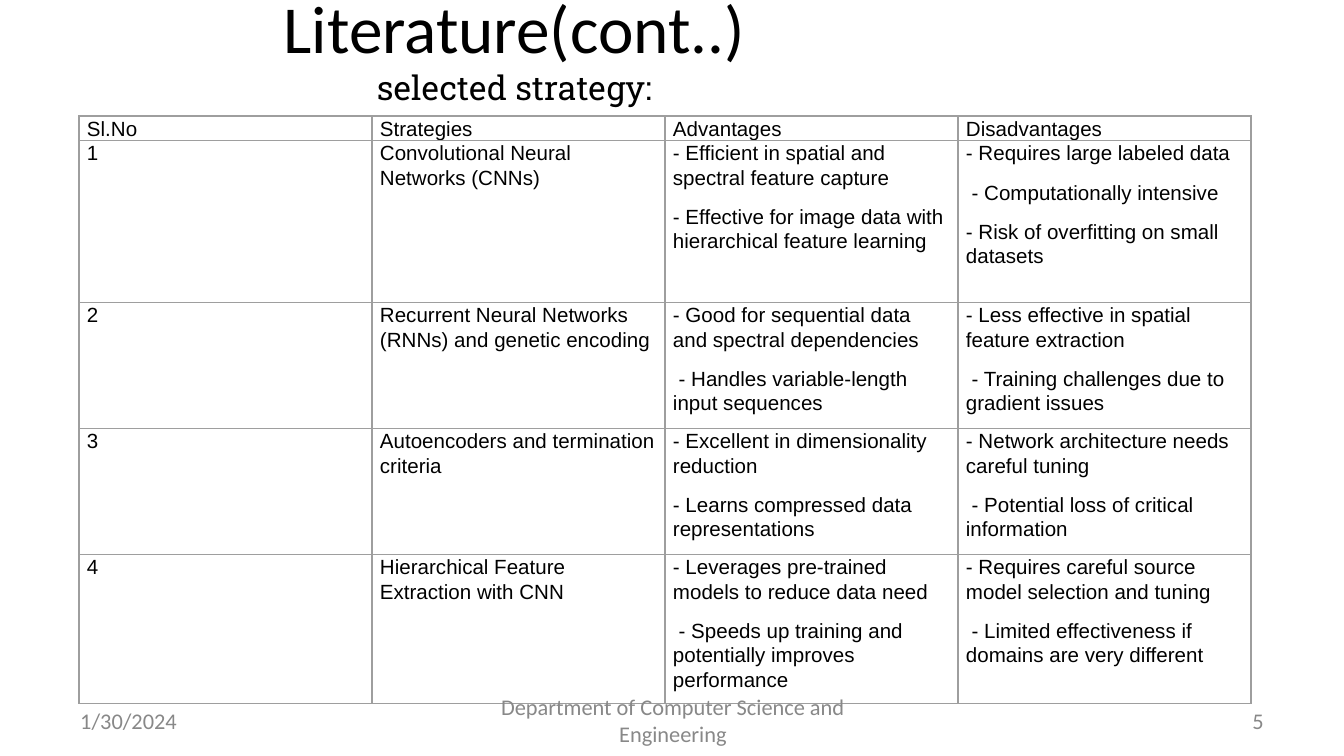
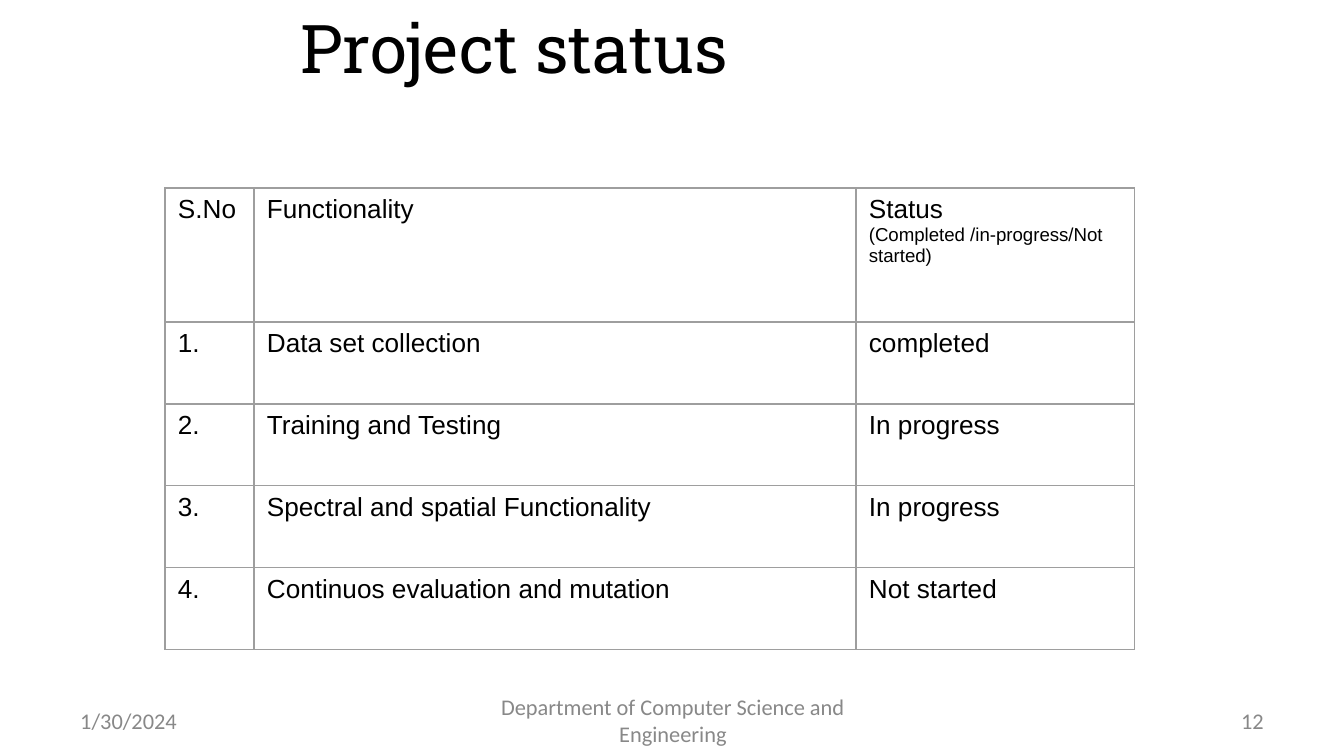
from lxml.etree import SubElement
from pptx import Presentation
from pptx.dml.color import RGBColor
from pptx.enum.text import MSO_ANCHOR as Anchor, MSO_AUTO_SIZE as AutoSize, PP_ALIGN as Align
from pptx.oxml.ns import qn
from pptx.util import Emu, Pt

# Shared look
PX = 914400 / 134.4
BLACK, GREY, RULE = "000000", "888888", "9E9E9E"
BODY, FOOT, SLAB = "Arial", "Calibri", "Roboto Slab"
TITLE_BOX = (65, 0, 899, 93)
FOOTERS = [  # left, width, alignment, text ({} takes the slide number)
    (67, 313, Align.LEFT, "1/30/2024"),
    (460, 426, Align.CENTER, "Department of Computer Science and Engineering"),
    (964, 313, Align.RIGHT, "{}"),
]
FOOT_TOP, FOOT_HEIGHT = 700, 41

# Content: each cell is a list of (text, size) lines or plain texts
STRATEGIES = [
    ["Sl.No", "Strategies", "Advantages", "Disadvantages"],
    ["1", "Convolutional Neural Networks (CNNs)",
     ["- Efficient in spatial and spectral feature capture",
      "- Effective for image data with hierarchical feature learning"],
     ["- Requires large labeled data", " - Computationally intensive",
      "- Risk of overfitting on small datasets"]],
    ["2", "Recurrent Neural Networks (RNNs) and genetic encoding",
     ["- Good for sequential data and spectral dependencies",
      " - Handles variable-length input sequences"],
     ["- Less effective in spatial feature extraction",
      " - Training challenges due to gradient issues"]],
    ["3", "Autoencoders and termination criteria",
     ["- Excellent in dimensionality reduction",
      "- Learns compressed data representations"],
     ["- Network architecture needs careful tuning",
      " - Potential loss of critical information"]],
    ["4", "Hierarchical Feature Extraction with CNN",
     ["- Leverages pre-trained models to reduce data need",
      " - Speeds up training and potentially improves performance"],
     ["- Requires careful source model selection and tuning",
      " - Limited effectiveness if domains are very different"]],
]
STATUS = [
    ["S.No", "Functionality", ["Status", ("(Completed /in-progress/Not started)", 10)]],
    ["1.", "Data set collection", "completed"],
    ["2.", "Training and Testing", "In progress"],
    ["3.", "Spectral and spatial Functionality", "In progress"],
    ["4.", "Continuos evaluation and mutation", "Not started"],
]
SLIDES = [
    dict(number=5, title=[("Literature(cont..)", 36, FOOT), ("selected strategy:", 18, SLAB)],
         rows=STRATEGIES, corner=(79, 116), widths=[293] * 4,
         heights=[20, 162, 126, 126, 149], size=11, margins=(8, 0),
         line_spacing=1.07, space_after=8),
    dict(number=12, title=[("Project status", 36, SLAB)],
         rows=STATUS, corner=(165, 188), widths=[89, 602, 279],
         heights=[134] + [82] * 4, size=14, margins=(13, 7)),
]


def px(length):
    return Emu(round(length * PX))


def style(span, size, font, color):
    span.font.size = Pt(size)
    span.font.name = font
    span.font.color.rgb = RGBColor.from_string(color)


def set_frame(frame):
    frame.word_wrap = True
    frame.auto_size = AutoSize.NONE
    frame.vertical_anchor = Anchor.MIDDLE


def add_title(page, lines):
    title = page.shapes.title
    title.left, title.top, title.width, title.height = map(px, TITLE_BOX)
    set_frame(title.text_frame)
    para = title.text_frame.paragraphs[0]
    para.text = "\v".join(text for text, _, _ in lines)
    para.alignment = Align.CENTER
    for span, (_, size, font) in zip(para.runs, lines):
        style(span, size, font, BLACK)


def add_footers(page, number):
    for left, width, align, text in FOOTERS:
        box = page.shapes.add_textbox(px(left), px(FOOT_TOP), px(width), px(FOOT_HEIGHT))
        set_frame(box.text_frame)
        para = box.text_frame.paragraphs[0]
        para.text = text.format(number)
        para.alignment = align
        style(para.runs[0], 12, FOOT, GREY)


def add_borders(cell):
    props = cell._tc.get_or_add_tcPr()
    for side in ("a:lnL", "a:lnR", "a:lnT", "a:lnB"):
        line = SubElement(props, qn(side), w=str(Pt(0.75)))
        fill = SubElement(line, qn("a:solidFill"))
        SubElement(fill, qn("a:srgbClr"), val=RULE)


def fill_cell(cell, content, size, margins, line_spacing, space_after):
    add_borders(cell)
    cell.fill.background()
    cell.margin_left = cell.margin_right = px(margins[0])
    cell.margin_top = cell.margin_bottom = px(margins[1])
    lines = content if isinstance(content, list) else [content]
    lines = [line if isinstance(line, tuple) else (line, size) for line in lines]
    cell.text_frame.text = "\n".join(text for text, _ in lines)
    for para, (_, line_size) in zip(cell.text_frame.paragraphs, lines):
        para.line_spacing = line_spacing
        para.space_after = Pt(space_after)
        style(para.runs[0], line_size, BODY, BLACK)


def add_grid(page, rows, corner, widths, heights, size, margins,
             line_spacing=1.0, space_after=0):
    table = page.shapes.add_table(
        len(rows), len(widths), *map(px, (*corner, sum(widths), sum(heights)))).table
    table.first_row = table.horz_banding = False
    for column, width in zip(table.columns, widths):
        column.width = px(width)
    for row, height, contents in zip(table.rows, heights, rows):
        row.height = px(height)
        for cell, content in zip(row.cells, contents):
            fill_cell(cell, content, size, margins, line_spacing, space_after)


def main():
    deck = Presentation()
    deck.slide_width, deck.slide_height = px(1344), px(756)
    title_only = deck.slide_layouts[5]
    for content in SLIDES:
        page = deck.slides.add_slide(title_only)
        grid = dict(content)
        number = grid.pop("number")
        add_title(page, grid.pop("title"))
        add_grid(page, **grid)
        add_footers(page, number)
    deck.save("out.pptx")


if __name__ == "__main__":
    main()
